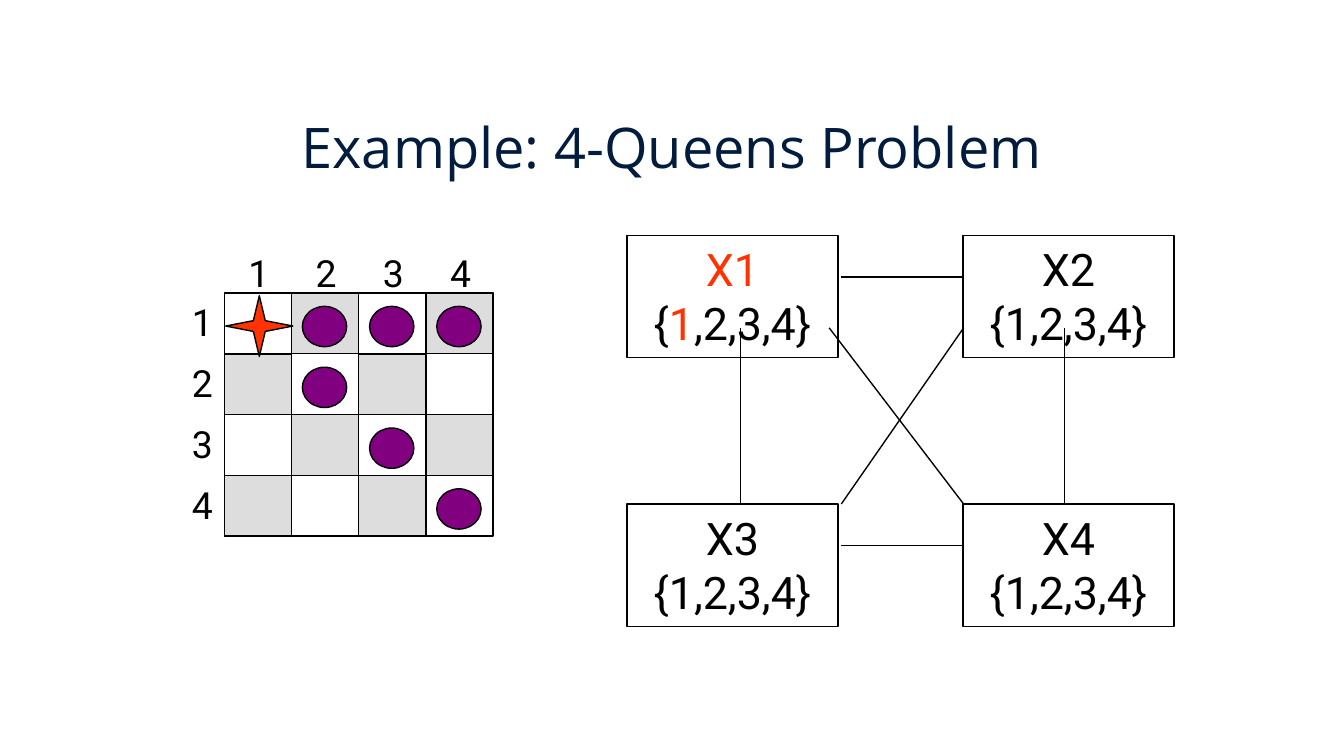
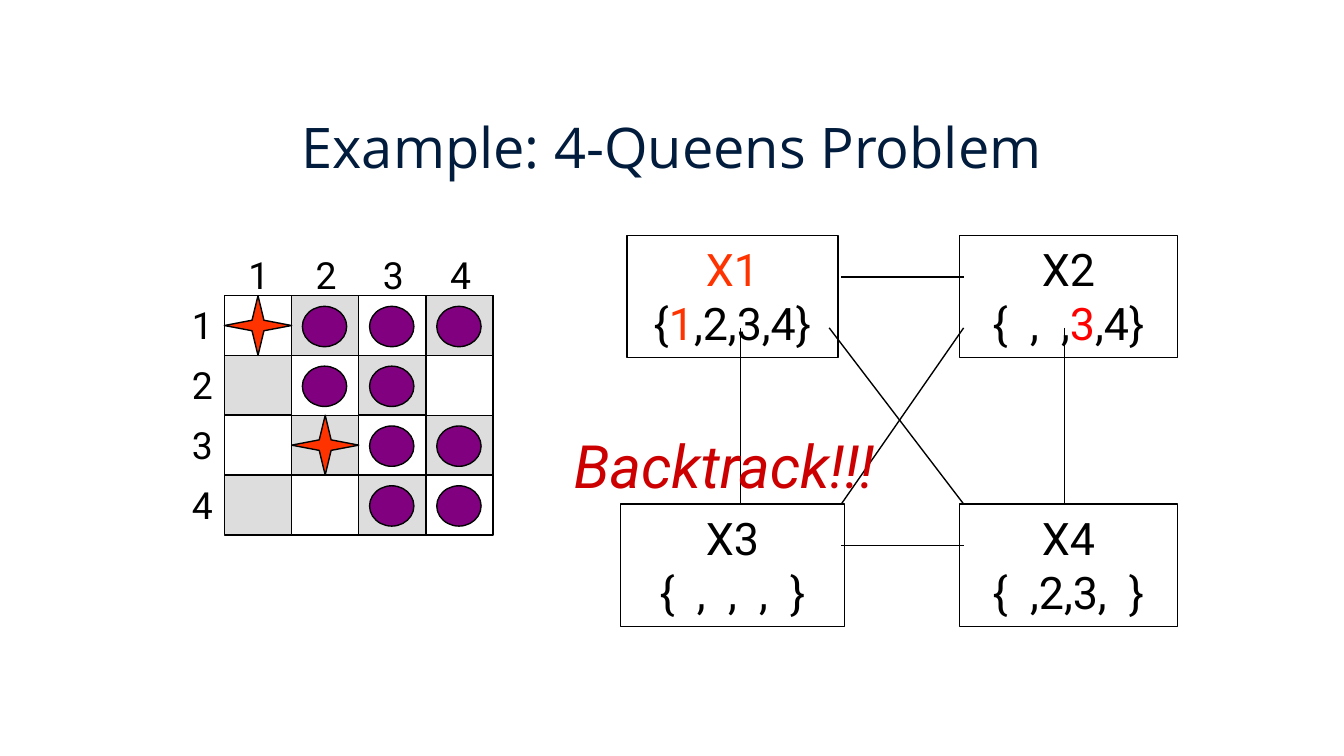
from pptx import Presentation, util as u
from pptx.dml.color import RGBColor
from pptx.enum import shapes, text
from pptx.oxml.ns import qn
from lxml import etree

# Shared style
BLACK, NAVY, GREY = "000000", "011C3C", "DDDDDD"
ORANGE, RED, DARK_RED, PURPLE = "FF3300", "FF0000", "CC0000", "800080"
TITLE_FONT, BODY_FONT = "Open Sans", "Roboto"
TITLE = "Example: 4-Queens Problem"

# Board geometry
SIZE = 4
BOARD_LEFT, COLUMN = 1.67, 0.5
DOT_WIDTH, DOT_HEIGHT, DOT_TOP = 0.33, 0.3, 2.28

# Constraint graph geometry: centre x and top of each variable
VARIABLES = {"X1": (5.45, 1.75), "X3": (5.45, 3.75),
             "X4": (7.95, 3.75), "X2": (7.95, 1.75)}
VARIABLE_HEIGHT = 0.91
CONSTRAINTS = [
    ((6.26, 2.06), (7.17, 2.06)),
    ((5.51, 2.44), (5.51, 3.75)),
    ((6.26, 4.06), (7.17, 4.06)),
    ((7.92, 2.44), (7.92, 3.75)),
    ((6.17, 2.44), (7.17, 3.75)),
    ((7.17, 2.44), (6.26, 3.75)),
]

# Slide content: squares are (row, column), domains are (box width, runs)
X1_DOMAIN = (1.57, [("{", BLACK), ("1", ORANGE), (",2,3,4}", BLACK)])
FULL_DOMAIN = (1.57, [("{1,2,3,4}", BLACK)])
SLIDES = [
    {
        "board_top": 2.18, "board_height": 1.81, "queen_shift": (0.01, 0.02),
        "queens": [(0, 0)],
        "attacked": [(0, 1), (0, 2), (0, 3), (1, 1), (2, 2), (3, 3)],
        "domains": {"X1": X1_DOMAIN, "X2": FULL_DOMAIN,
                    "X3": FULL_DOMAIN, "X4": FULL_DOMAIN},
        "verdict": None,
    },
    {
        "board_top": 2.2, "board_height": 1.78, "queen_shift": (0, 0),
        "queens": [(0, 0), (2, 1)],
        "attacked": [(0, 1), (0, 2), (0, 3), (1, 1), (1, 2),
                     (2, 2), (2, 3), (3, 2), (3, 3)],
        "domains": {
            "X1": X1_DOMAIN,
            "X2": (1.62, [("{  ,  ,", BLACK), ("3", RED), (",4}", BLACK)]),
            "X3": (1.67, [("{  ,  ,  ,  }", BLACK)]),
            "X4": (1.62, [("{  ,2,3,  }", BLACK)]),
        },
        "verdict": "Backtrack!!!",
    },
]


def color(value):
    return RGBColor.from_string(value)


def inches(*values):
    return [u.Inches(value) for value in values]


def write(box, lines, size, font=BODY_FONT, align=text.PP_ALIGN.LEFT,
          wrap=False, italic=None):
    """Fill a box with lines, each a list of (text, colour) runs."""
    frame = box.text_frame
    frame.word_wrap = wrap
    frame.vertical_anchor = text.MSO_ANCHOR.TOP
    for index, runs in enumerate(lines):
        para = frame.add_paragraph() if index else frame.paragraphs[0]
        para.alignment = align
        for words, shade in runs:
            span = para.add_run()
            span.text = words
            span.font.name = font
            span.font.size = u.Pt(size)
            span.font.italic = italic
            span.font.color.rgb = color(shade)


def add_text(page, place, words, shade, size, **style):
    box = page.shapes.add_textbox(*inches(*place))
    write(box, [[(words, shade)]], size, **style)


def add_outlined(page, kind, place, fill=None):
    shape = page.shapes.add_shape(kind, *inches(*place))
    shape.shadow.inherit = False
    if fill:
        shape.fill.solid()
        shape.fill.fore_color.rgb = color(fill)
    else:
        shape.fill.background()
    shape.line.color.rgb = color(BLACK)
    shape.line.width = u.Pt(0.75)
    return shape


def add_title(page):
    add_text(page, (0.5, 0.79, 9, 0.75), TITLE, NAVY, 30,
             font=TITLE_FONT, align=text.PP_ALIGN.CENTER, wrap=True)


def add_board(page, content):
    kinds = shapes.MSO_SHAPE
    top, board_height = content["board_top"], content["board_height"]
    height = board_height / SIZE

    def square(row, column):
        return BOARD_LEFT + column * COLUMN, top + row * height

    # Frame and shaded squares
    add_outlined(page, kinds.RECTANGLE,
                 (BOARD_LEFT, top, SIZE * COLUMN, board_height))
    for row in range(SIZE):
        for column in range(SIZE):
            if (row + column) % 2:
                add_outlined(page, kinds.RECTANGLE,
                             (*square(row, column), COLUMN, height), GREY)

    # Row and column numbers
    for index in range(SIZE):
        x, y = square(index, index)
        for place in ((1.33, y), (x + 0.08, top - 0.37)):
            add_text(page, (*place, 0.35, 0.53), str(index + 1), BLACK, 20)

    # Queens and attacked squares
    shift_x, shift_y = content["queen_shift"]
    for row, column in content["queens"]:
        x, y = square(row, column)
        star = add_outlined(page, kinds.STAR_4_POINT,
                            (x + shift_x, y + shift_y, COLUMN, height), ORANGE)
        star.adjustments[0] = 0.125
    for row, column in content["attacked"]:
        x = square(row, column)[0] + 0.08
        add_outlined(page, kinds.OVAL,
                     (x, DOT_TOP + row * height, DOT_WIDTH, DOT_HEIGHT), PURPLE)


def add_graph(page, domains):
    # Variables with their domains
    for name, (center, top) in VARIABLES.items():
        width, domain = domains[name]
        box = add_outlined(page, shapes.MSO_SHAPE.RECTANGLE,
                           (center - width / 2, top, width, VARIABLE_HEIGHT))
        heading = [(name, ORANGE if name == "X1" else BLACK)]
        write(box, [heading, domain], 24, align=text.PP_ALIGN.CENTER)

    # Constraints between variables
    for start, end in CONSTRAINTS:
        line = page.shapes.add_connector(shapes.MSO_CONNECTOR.STRAIGHT,
                                         *inches(*start, *end))
        line.line.color.rgb = color(BLACK)
        line.line.width = u.Pt(0.75)
        etree.SubElement(line._element.spPr, qn("a:effectLst"))


def main():
    deck = Presentation()
    # Widescreen, 16 to 9
    deck.slide_width = u.Inches(10)
    deck.slide_height = u.Inches(10) * 9 // 16
    for content in SLIDES:
        page = deck.slides.add_slide(deck.slide_layouts[6])
        add_title(page)
        add_board(page, content)
        add_graph(page, content["domains"])
        if content["verdict"]:
            add_text(page, (4.17, 3.14, 2.5, 0.64), content["verdict"],
                     DARK_RED, 32, wrap=True, italic=True)
    deck.save("out.pptx")


if __name__ == "__main__":
    main()
